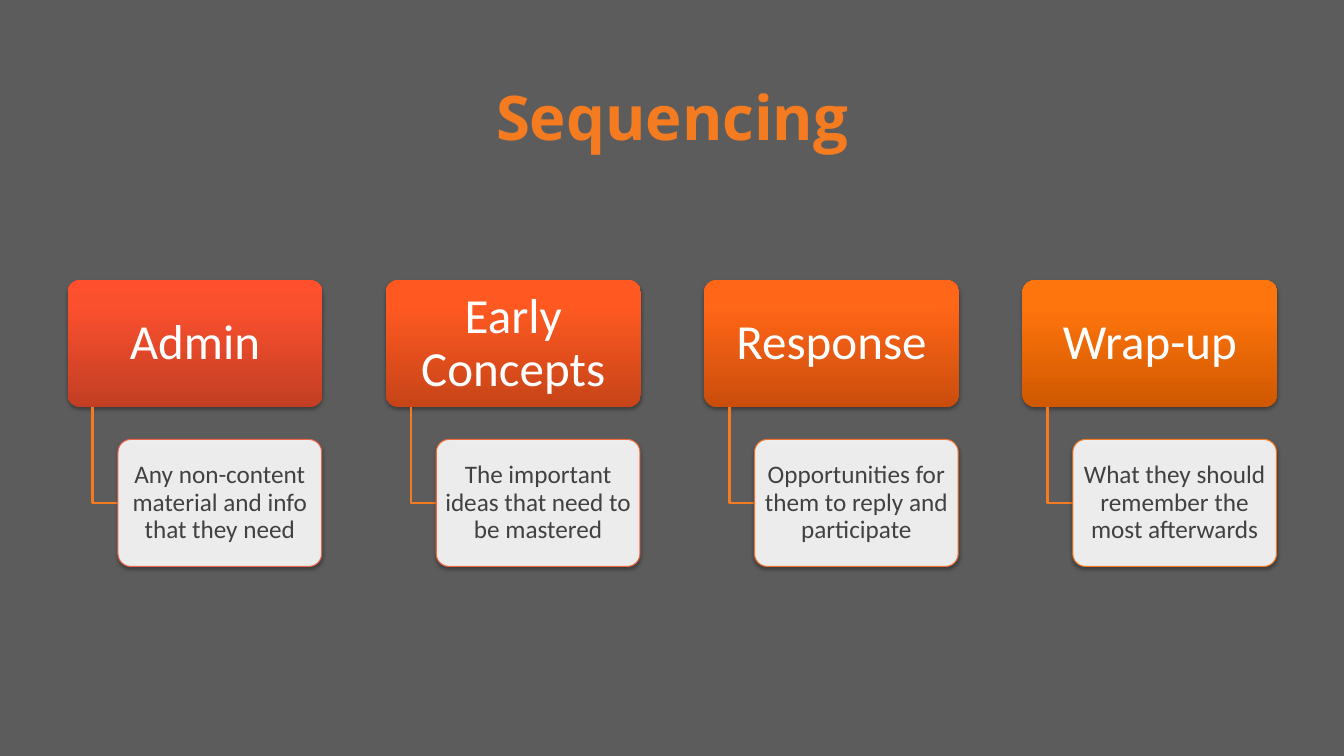
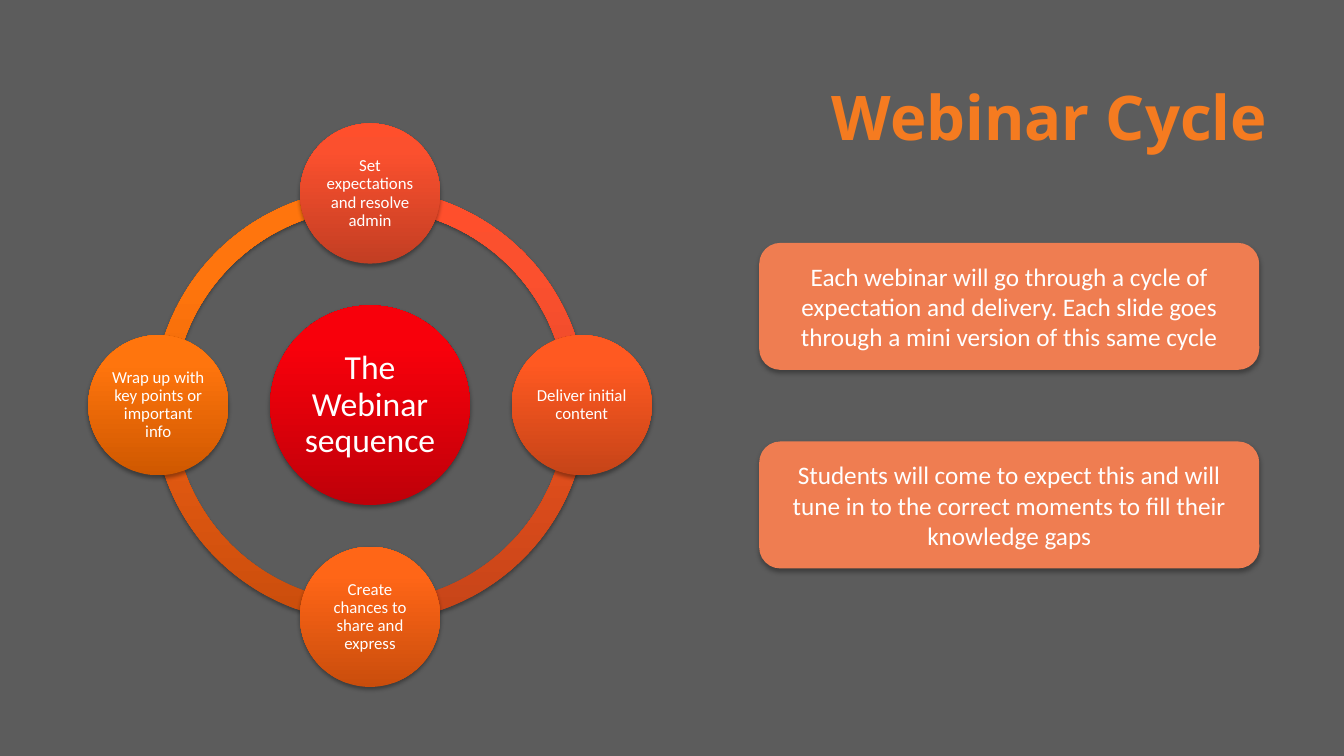
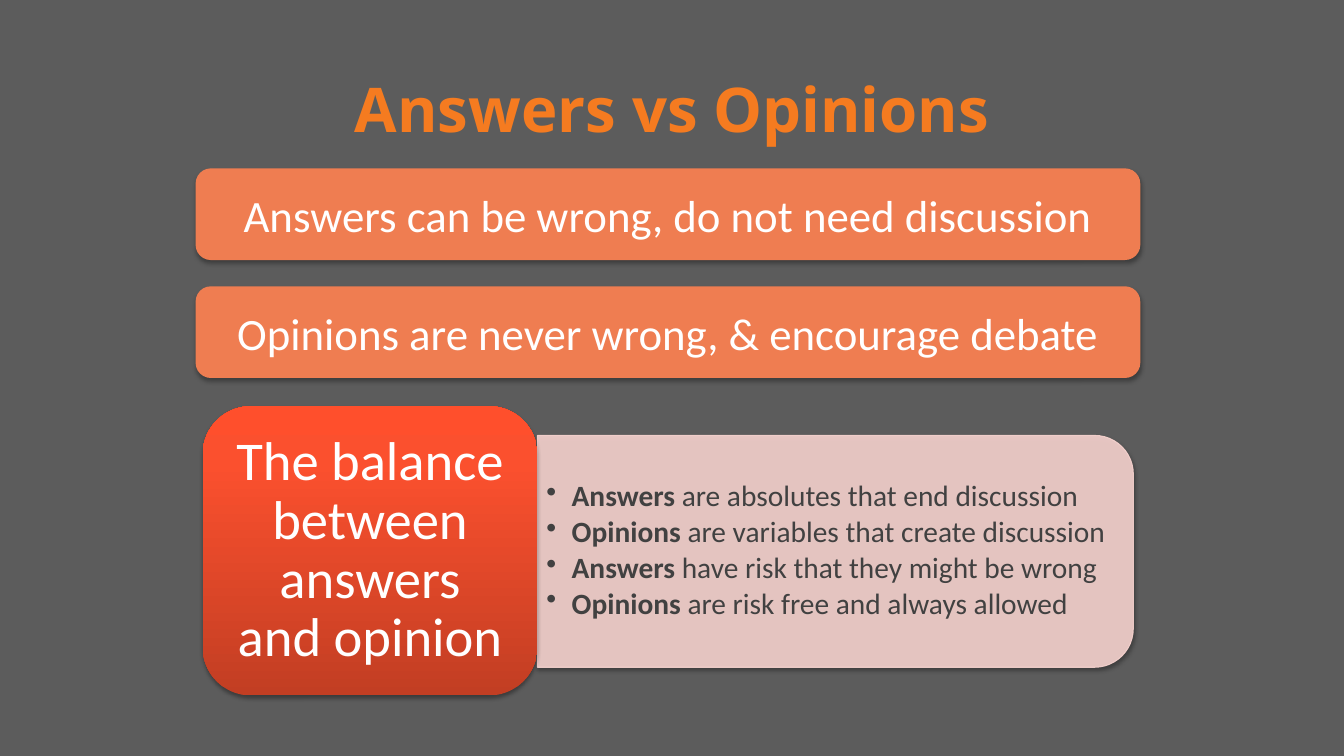
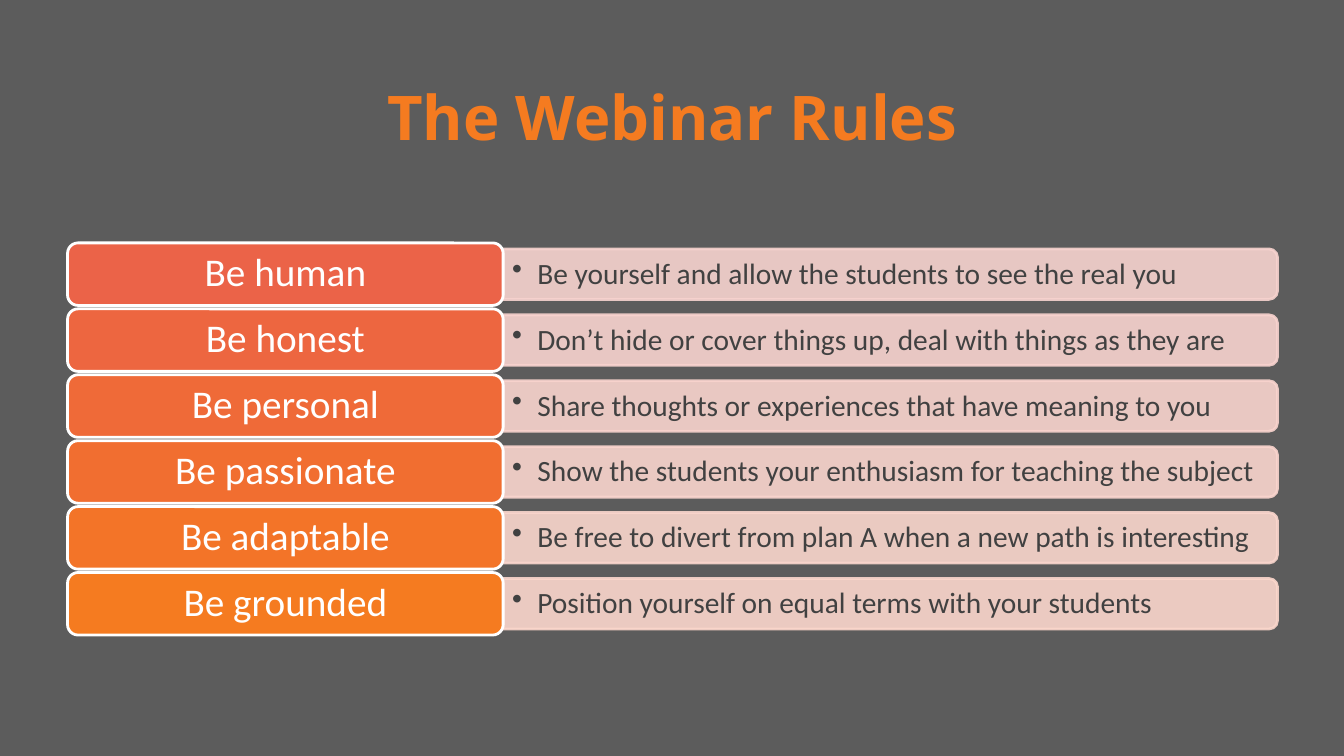
import copy
import math
from dataclasses import dataclass
from typing import Any, Optional

import lxml.etree
import pptx
import pptx.dml.color
import pptx.dml.fill
import pptx.enum.shapes
import pptx.enum.text
import pptx.oxml.ns
import pptx.shapes.autoshape
import pptx.slide
import pptx.text.text
import pptx.util

Inches = pptx.util.Inches
Pt = pptx.util.Pt
Shape = pptx.shapes.autoshape.Shape
Slide = pptx.slide.Slide
SHAPES = pptx.enum.shapes.MSO_SHAPE
ALIGN = pptx.enum.text.PP_ALIGN
qn = pptx.oxml.ns.qn

# Shared look
COLORS = {
    "background": "5C5C5C",
    "accent": "F57B20",
    "callout": "EF7D51",
    "pink": "F7D3CF",
    "dark": "414141",
    "white": "FFFFFF",
    "black": "000000",
}
GRADIENTS = {
    "red": ("BF0009", "F8000B", "F9000B"),
    "coral": ("C23E23", "FB502E", "FF4F2C"),
    "flame": ("C64418", "FF5921", "FF5A22"),
    "orange": ("CA4D0C", "FF6617", "FF6718"),
    "amber": ("CF5800", "FF750D", "FF750F"),
}
GRADIENT_STOPS = (0, 0.8, 1)


@dataclass(frozen=True)
class Frame:
    left: float
    top: float
    width: float
    height: float

    def lengths(self) -> tuple[Any, ...]:
        return tuple(Inches(n) for n in (self.left, self.top, self.width, self.height))


@dataclass(frozen=True)
class TextStyle:
    size: float
    color: str = COLORS["white"]
    font: str = "Calibri"
    bold: bool = False
    align: Any = ALIGN.CENTER
    line_spacing: float = 0.9
    space_after: float = 0
    inset: tuple[float, float] = (0.1, 0.05)
    bullet: bool = False


@dataclass(frozen=True)
class Shadow:
    opacity: int
    blur: float
    distance: float


Line = list[tuple[str, bool]]  # spans with their bold flag

DIAGRAM_SHADOW = Shadow(35, 3.1, 1.8)
CALLOUT_SHADOW = Shadow(32, 3.5, 2.2)
BULLETS = TextStyle(21, COLORS["dark"], align=ALIGN.LEFT, space_after=3,
                    inset=(0.09, 0.04), bullet=True)


def set_values(target: Any, values: dict[str, Any]) -> None:
    for name, value in values.items():
        setattr(target, name, value)


def rgb(color: str) -> pptx.dml.color.RGBColor:
    return pptx.dml.color.RGBColor.from_string(color)


# Text
def add_bullet(para: Any) -> None:
    properties = para._p.get_or_add_pPr()
    properties.set("marL", str(Inches(0.25)))
    properties.set("indent", str(-Inches(0.25)))
    lxml.etree.SubElement(properties, qn("a:buChar")).set("char", "•")


def write(box: Shape, lines: list[Line], style: TextStyle) -> None:
    frame = box.text_frame
    side, edge = (Inches(n) for n in style.inset)
    set_values(frame, {
        "word_wrap": True,
        "vertical_anchor": pptx.enum.text.MSO_ANCHOR.MIDDLE,
        "margin_left": side, "margin_right": side,
        "margin_top": edge, "margin_bottom": edge,
    })
    for index, line in enumerate(lines):
        para = frame.add_paragraph() if index else frame.paragraphs[0]
        set_values(para, {
            "alignment": style.align,
            "line_spacing": style.line_spacing,
            "space_after": Pt(style.space_after),
        })
        if style.bullet:
            add_bullet(para)
        for words, bold in line:
            span = para.add_run()
            span.text = words
            set_values(span.font, {"name": style.font, "size": Pt(style.size),
                                   "bold": bold or style.bold})
            span.font.color.rgb = rgb(style.color)


def add_text(page: Slide, frame: Frame, lines: list[Line], style: TextStyle) -> None:
    write(page.shapes.add_textbox(*frame.lengths()), lines, style)


# Shapes
def fill_gradient(box: Shape, colors: tuple[str, ...]) -> None:
    box.fill.gradient()
    stop_list = box._element.spPr.find(".//" + qn("a:gsLst"))
    stop_list.append(copy.deepcopy(stop_list[0]))
    box.fill.gradient_angle = 90
    for stop, position, color in zip(box.fill.gradient_stops, GRADIENT_STOPS, colors):
        stop.position = position
        stop.color.rgb = rgb(color)


def add_alpha(color: Any, percent: int) -> None:
    lxml.etree.SubElement(color, qn("a:alpha")).set("val", str(percent * 1000))


def add_shadow(box: Shape, shadow: Shadow) -> None:
    effects = box._element.spPr.find(qn("a:effectLst"))
    outer = lxml.etree.SubElement(effects, qn("a:outerShdw"))
    for name, value in {"blurRad": Pt(shadow.blur), "dist": Pt(shadow.distance),
                        "dir": 90 * 60000, "rotWithShape": 0}.items():
        outer.set(name, str(value))
    color = lxml.etree.SubElement(outer, qn("a:srgbClr"))
    color.set("val", COLORS["black"])
    add_alpha(color, shadow.opacity)


def add_box(page: Slide, kind: Any, frame: Frame, fill: str | tuple[str, ...],
            line: Optional[tuple[str, float]] = None, shadow: Optional[Shadow] = None,
            adjust: tuple[float, ...] = (), opacity: int = 100) -> Shape:
    box = page.shapes.add_shape(kind, *frame.lengths())
    for index, value in enumerate(adjust):
        box.adjustments[index] = value
    box.shadow.inherit = False
    if shadow:
        add_shadow(box, shadow)
    if isinstance(fill, tuple):
        fill_gradient(box, fill)
    else:
        box.fill.solid()
        box.fill.fore_color.rgb = rgb(fill)
        if opacity < 100:
            add_alpha(box._element.spPr.find(qn("a:solidFill"))[0], opacity)
    if line:
        box.line.color.rgb = rgb(line[0])
        box.line.width = Pt(line[1])
    else:
        box.line.fill.background()
    return box


def add_callout(page: Slide, frame: Frame, words: str, size: float) -> None:
    box = add_box(page, SHAPES.ROUNDED_RECTANGLE, frame, COLORS["callout"],
                  shadow=CALLOUT_SHADOW)
    write(box, [[(words, False)]], TextStyle(size, line_spacing=1))


def add_side_tab(page: Slide, frame: Frame, color: str, line_width: float,
                 shadow: Optional[Shadow] = None) -> None:
    """Panel whose right-hand corners are round: a turned top-rounded rectangle."""
    shift = (frame.width - frame.height) / 2
    upright = Frame(frame.left + shift, frame.top - shift, frame.height, frame.width)
    tab = add_box(page, SHAPES.ROUND_2_SAME_RECTANGLE, upright, color,
                  (color, line_width), shadow, opacity=90)
    add_alpha(tab._element.spPr.find(qn("a:ln")).find(qn("a:solidFill"))[0], 90)
    tab.rotation = 90


def add_elbow(page: Slide, left: float, top: float, width: float, height: float) -> None:
    builder = page.shapes.build_freeform(Inches(left), Inches(top))
    builder.add_line_segments([(Inches(left), Inches(top + height)),
                               (Inches(left + width), Inches(top + height))], close=False)
    elbow = builder.convert_to_shape()
    elbow.fill.background()
    elbow.shadow.inherit = False
    elbow.line.color.rgb = rgb(COLORS["accent"])
    elbow.line.width = Pt(2)


def add_page(deck: Any, title: str, align: Any = ALIGN.CENTER, top: float = 0.52) -> Slide:
    page = deck.slides.add_slide(deck.slide_layouts[6])
    add_text(page, Frame(0.67, top, 12, 1.25), [[(title, False)]],
             TextStyle(44, COLORS["accent"], "Open Sans", True, align, 1))
    return page


# Sequencing
@dataclass(frozen=True)
class Step:
    name: str
    detail: str
    gradient: str
    outline: str


STEPS = (
    Step("Admin", "Any non-content material and info that they need", "coral", "EB6348"),
    Step("Early Concepts", "The important ideas that need to be mastered", "flame", "EE683B"),
    Step("Response", "Opportunities for them to reply and participate", "orange", "F1702E"),
    Step("Wrap-up", "What they should remember the most afterwards", "amber", "F57B20"),
)


def build_sequencing(deck: Any) -> None:
    page = add_page(deck, "Sequencing")
    pitch = (10.14 - 0.67) / 3
    for index, step in enumerate(STEPS):
        left = 0.67 + index * pitch
        head = add_box(page, SHAPES.ROUNDED_RECTANGLE, Frame(left, 2.78, 2.53, 1.26),
                       GRADIENTS[step.gradient], shadow=DIAGRAM_SHADOW, adjust=(0.1,))
        write(head, [[(step.name, False)]], TextStyle(35, inset=(0.07, 0.05)))
        add_elbow(page, left + 0.25, 4.04, 0.25, 0.95)
        card = add_box(page, SHAPES.ROUNDED_RECTANGLE, Frame(left + 0.5, 4.36, 2.02, 1.26),
                       COLORS["white"], (step.outline, 0.75), DIAGRAM_SHADOW, (0.1,), 90)
        write(card, [[(step.detail, False)]],
              TextStyle(18, COLORS["dark"], inset=(0.04, 0.03)))


# Webinar cycle
@dataclass(frozen=True)
class Stage:
    words: str
    gradient: str


STAGES = (
    Stage("Set expectations and resolve admin", "coral"),
    Stage("Deliver initial content", "flame"),
    Stage("Create chances to share and express", "orange"),
    Stage("Wrap up with key points or important info", "amber"),
)
CALLOUTS = (
    "Each webinar will go through a cycle of expectation and delivery. "
    "Each slide goes through a mini version of this same cycle",
    "Students will come to expect this and will tune in to the correct moments "
    "to fill their knowledge gaps",
)
CENTER = (3.67, 4.02)
QUARTER = 54  # ninety degrees in the units of the arc's adjustments


def around(x: float, y: float, size: float) -> Frame:
    return Frame(x - size / 2, y - size / 2, size, size)


def add_disc(page: Slide, frame: Frame, words: str, gradient: str, style: TextStyle) -> None:
    disc = add_box(page, SHAPES.OVAL, frame, GRADIENTS[gradient], shadow=DIAGRAM_SHADOW)
    write(disc, [[(words, False)]], style)


def build_cycle(deck: Any) -> None:
    page = add_page(deck, "Webinar Cycle", ALIGN.RIGHT)
    for index, stage in reversed(list(enumerate(STAGES))):
        start, end = ((index + turn) % 4 * QUARTER for turn in (3, 4))
        add_box(page, SHAPES.BLOCK_ARC, around(*CENTER, 4.3), GRADIENTS[stage.gradient],
                shadow=DIAGRAM_SHADOW, adjust=(start, end, 0.046))
    add_disc(page, around(*CENTER, 1.98), "The Webinar sequence", "red",
             TextStyle(24, inset=(0.03, 0.03)))
    for index, stage in enumerate(STAGES):
        angle = math.radians(90 * index)
        x = CENTER[0] + 2.1 * math.sin(angle)
        y = CENTER[1] - 2.1 * math.cos(angle)
        add_disc(page, around(x, y, 1.39), stage.words, stage.gradient,
                 TextStyle(12, inset=(0.02, 0.02)))
    for index, words in enumerate(CALLOUTS):
        add_callout(page, Frame(7.53, 2.41 + index * 1.97, 4.96, 1.26), words, 18)


# Answers vs opinions
CLAIMS = (
    "Answers can be wrong, do not need discussion",
    "Opinions are never wrong, & encourage debate",
)
CONTRASTS = (
    ("Answers", " are absolutes that end discussion"),
    ("Opinions", " are variables that create discussion"),
    ("Answers", " have risk that they might be wrong"),
    ("Opinions", " are risk free and always allowed"),
)


def build_answers(deck: Any) -> None:
    page = add_page(deck, "Answers vs Opinions", top=0.44)
    add_side_tab(page, Frame(5.33, 4.32, 5.91, 2.3), COLORS["pink"], 0.75, DIAGRAM_SHADOW)
    add_text(page, Frame(5.33, 4.43, 5.79, 2.07),
             [[(subject, True), (rest, False)] for subject, rest in CONTRASTS], BULLETS)
    balance = add_box(page, SHAPES.ROUNDED_RECTANGLE, Frame(2.01, 4.03, 3.32, 2.87),
                      GRADIENTS["coral"], shadow=DIAGRAM_SHADOW)
    write(balance, [[("The balance between answers and opinion", False)]],
          TextStyle(39, inset=(0.16, 0.08)))
    for index, words in enumerate(CLAIMS):
        add_callout(page, Frame(1.94, 1.67 + index * 1.17, 9.37, 0.91), words, 32)


# Webinar rules
@dataclass(frozen=True)
class Rule:
    name: str
    advice: str
    color: str
    tint: str


RULES = (
    Rule("Be human", "Be yourself and allow the students to see the real you",
         "EB6348", "F7D3CF"),
    Rule("Be honest", "Don’t hide or cover things up, deal with things as they are",
         "ED6640", "F8D3CF"),
    Rule("Be personal", "Share thoughts or experiences that have meaning to you",
         "EF6A38", "F9D4CE"),
    Rule("Be passionate", "Show the students your enthusiasm for teaching the subject",
         "F16E30", "FAD5CE"),
    Rule("Be adaptable", "Be free to divert from plan A when a new path is interesting",
         "F37428", "FAD6CD"),
    Rule("Be grounded", "Position yourself on equal terms with your students",
         "F57B20", "FBD7CC"),
)


def build_rules(deck: Any) -> None:
    page = add_page(deck, "The Webinar Rules")
    pitch = (5.68 - 2.41) / 5
    for index, rule in enumerate(RULES):
        top = 2.41 + index * pitch
        add_side_tab(page, Frame(4.99, top + 0.06, 7.68, 0.5), rule.tint, 2)
        add_text(page, Frame(4.99, top + 0.09, 7.66, 0.45), [[(rule.advice, False)]], BULLETS)
        label = add_box(page, SHAPES.ROUNDED_RECTANGLE, Frame(0.67, top, 4.32, 0.62),
                        rule.color, (COLORS["white"], 2))
        write(label, [[(rule.name, False)]], TextStyle(28, inset=(0.12, 0.06)))


def main() -> None:
    deck = pptx.Presentation()
    set_values(deck, {"slide_width": Inches(13.33), "slide_height": Inches(7.5)})
    backdrop = deck.slide_master.background.fill
    backdrop.solid()
    backdrop.fore_color.rgb = rgb(COLORS["background"])
    for build in (build_sequencing, build_cycle, build_answers, build_rules):
        build(deck)
    deck.save("out.pptx")


main()
